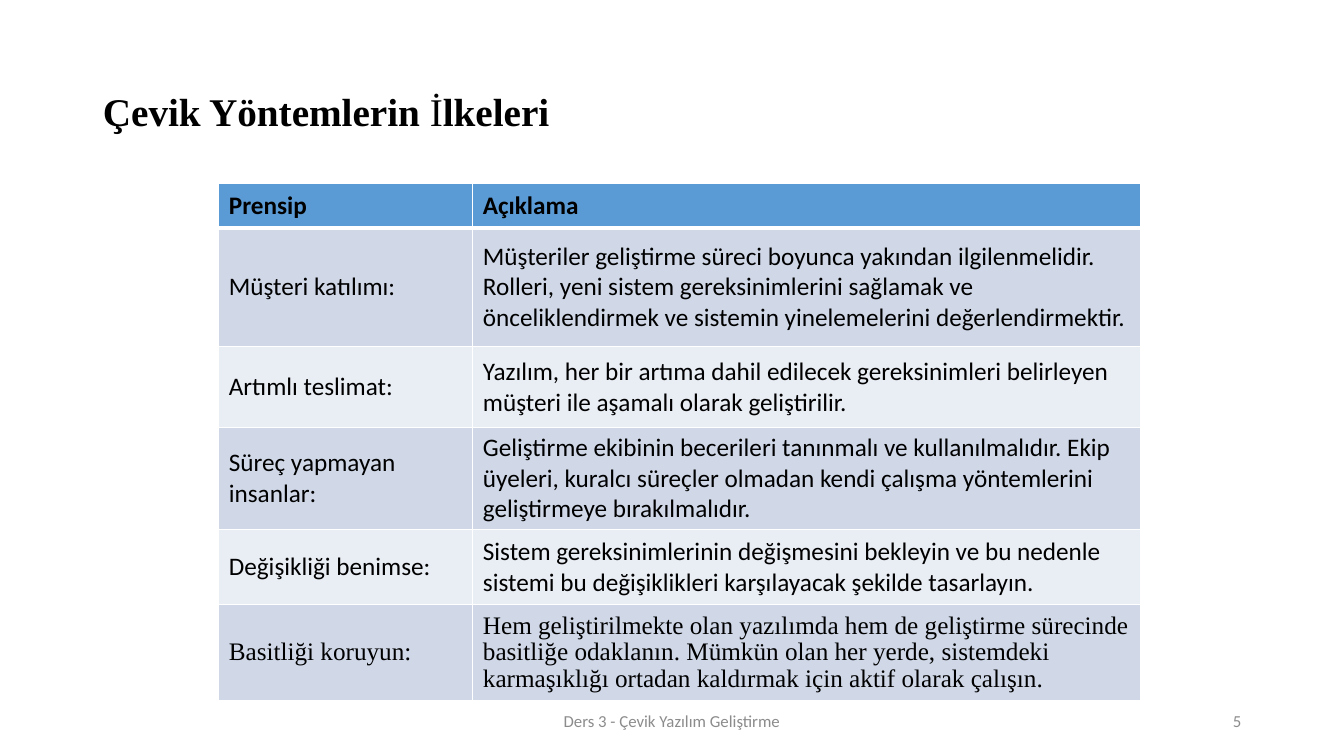
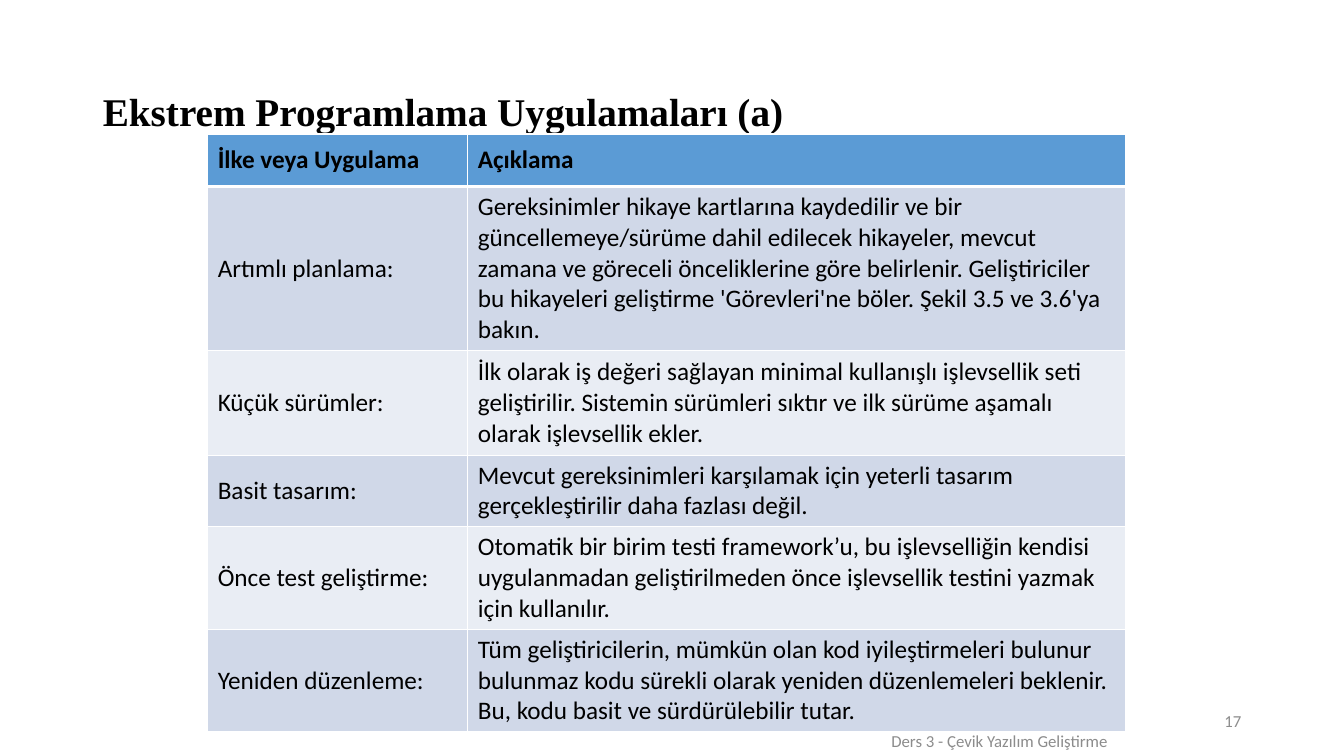
from lxml import etree
from pptx import Presentation
from pptx.dml.color import RGBColor
from pptx.enum.text import MSO_ANCHOR, PP_ALIGN
from pptx.oxml.ns import qn
from pptx.util import Inches, Pt

MIDDLE = MSO_ANCHOR.MIDDLE
LEFT, CENTER, RIGHT = PP_ALIGN.LEFT, PP_ALIGN.CENTER, PP_ALIGN.RIGHT
WIDTH, HEIGHT = 13.33, 7.5
MARGIN = 0.92
CONTENT = WIDTH - 2 * MARGIN
FOOTER_TOP, FOOTER_HEIGHT = HEIGHT - 0.55, 0.4
NUMBER_WIDTH = 3
BLACK, WHITE, GRAY = "000000", "FFFFFF", "8C8C8C"
HEADER_FILL = "5B9BD5"
BAND_FILLS = ["E9EDF4", "D0D8E8"]
SANS, SERIF = "Calibri", "Times New Roman"
FOOTER = "Ders 3 - Çevik Yazılım Geliştirme"

SLIDES = [
    {
        "title": ["Çevik Yöntemlerin ", "İ", "lkeleri"],
        "number": "5",
        "footer": (WIDTH / 2 - 2.25, FOOTER_TOP, 4.5),
        "corner": (2.17, 1.82),
        "columns": [2.52, 6.62],
        "heights": [0.44, 1.18, 0.8, 0.96, 0.74, 0.96],
        "serif_rows": [5],
        "rows": [
            ("Prensip", "Açıklama"),
            ("Müşteri katılımı:",
             "Müşteriler geliştirme süreci boyunca yakından ilgilenmelidir. Rolleri, yeni sistem "
             "gereksinimlerini sağlamak ve önceliklendirmek ve sistemin yinelemelerini "
             "değerlendirmektir."),
            ("Artımlı teslimat:",
             "Yazılım, her bir artıma dahil edilecek gereksinimleri belirleyen müşteri ile "
             "aşamalı olarak geliştirilir."),
            ("Süreç yapmayan insanlar:",
             "Geliştirme ekibinin becerileri tanınmalı ve kullanılmalıdır. Ekip üyeleri, kuralcı "
             "süreçler olmadan kendi çalışma yöntemlerini geliştirmeye bırakılmalıdır."),
            ("Değişikliği benimse:",
             "Sistem gereksinimlerinin değişmesini bekleyin ve bu nedenle sistemi bu "
             "değişiklikleri karşılayacak şekilde tasarlayın."),
            ("Basitliği koruyun:",
             "Hem geliştirilmekte olan yazılımda hem de geliştirme sürecinde basitliğe "
             "odaklanın. Mümkün olan her yerde, sistemdeki karmaşıklığı ortadan kaldırmak için "
             "aktif olarak çalışın."),
        ],
    },
    {
        "title": ["Ekstrem Programlama Uygulamaları (a)"],
        "number": "17",
        "footer": (8.33, FOOTER_TOP + 0.2, 3.17),
        "corner": (2.06, 1.33),
        "columns": [2.58, 6.52],
        "heights": [0.52, 1.28, 1.04, 0.57, 0.81, 0.81],
        "serif_rows": [],
        "rows": [
            ("İlke veya Uygulama", "Açıklama"),
            ("Artımlı planlama:",
             "Gereksinimler hikaye kartlarına kaydedilir ve bir güncellemeye/sürüme dahil "
             "edilecek hikayeler, mevcut zamana ve göreceli önceliklerine göre "
             "belirlenir. Geliştiriciler bu hikayeleri geliştirme 'Görevleri'ne "
             "böler. Şekil 3.5 ve 3.6'ya bakın."),
            ("Küçük sürümler:",
             "İlk olarak iş değeri sağlayan minimal kullanışlı işlevsellik seti "
             "geliştirilir. Sistemin sürümleri sıktır ve ilk sürüme aşamalı olarak "
             "işlevsellik ekler."),
            ("Basit tasarım:",
             "Mevcut gereksinimleri karşılamak için yeterli tasarım gerçekleştirilir daha "
             "fazlası değil."),
            ("Önce test geliştirme:",
             "Otomatik bir birim testi framework’u, bu işlevselliğin kendisi uygulanmadan "
             "geliştirilmeden önce işlevsellik testini yazmak için kullanılır."),
            ("Yeniden düzenleme:",
             "Tüm geliştiricilerin, mümkün olan kod iyileştirmeleri bulunur bulunmaz kodu "
             "sürekli olarak yeniden düzenlemeleri beklenir. Bu, kodu basit ve "
             "sürdürülebilir tutar."),
        ],
    },
]


def style(font, name, size, color, bold=False):
    font.name, font.size, font.bold = name, Pt(size), bold
    font.color.rgb = RGBColor.from_string(color)


def add_border(cell, side, points):
    line = etree.SubElement(cell._tc.get_or_add_tcPr(), qn("a:" + side), w=str(Pt(points)))
    fill = etree.SubElement(line, qn("a:solidFill"))
    etree.SubElement(fill, qn("a:srgbClr"), val=WHITE)


deck = Presentation()
deck.slide_width, deck.slide_height = Inches(WIDTH), Inches(HEIGHT)
title_only = deck.slide_layouts[5]

for content in SLIDES:
    page = deck.slides.add_slide(title_only)

    title = page.shapes.title
    title.left, title.top = Inches(MARGIN), Inches(0.4)
    title.width, title.height = Inches(CONTENT), Inches(1.45)
    title.text_frame.vertical_anchor = MIDDLE
    para = title.text_frame.paragraphs[0]
    para.alignment, para.line_spacing = LEFT, 0.9
    for index, text in enumerate(content["title"]):
        span = para.add_run()
        span.text = text
        style(span.font, SERIF, 28, BLACK, bold=index != 1)

    rows, columns, heights = content["rows"], content["columns"], content["heights"]
    left, top = content["corner"]
    table = page.shapes.add_table(
        len(rows), len(columns), Inches(left), Inches(top),
        Inches(sum(columns)), Inches(sum(heights))).table
    for column, width in zip(table.columns, columns):
        column.width = Inches(width)
    for row, height in zip(table.rows, heights):
        row.height = Inches(height)
    for r, texts in enumerate(rows):
        serif = r in content["serif_rows"]
        for c, text in enumerate(texts):
            cell = table.cell(r, c)
            cell.text_frame.text = text
            cell.vertical_anchor = MIDDLE
            for side in ("lnL", "lnR", "lnT", "lnB"):
                thick = (r, side) in [(0, "lnB"), (1, "lnT")]
                add_border(cell, side, 3 if thick else 1)
            cell.fill.solid()
            cell.fill.fore_color.rgb = RGBColor.from_string(
                BAND_FILLS[r % 2] if r else HEADER_FILL)
            para = cell.text_frame.paragraphs[0]
            if serif:
                para.line_spacing = 0.95
            style(para.runs[0].font, SERIF if serif else SANS, 18, BLACK, bold=r == 0)

    number_place = (WIDTH - MARGIN - NUMBER_WIDTH, FOOTER_TOP, NUMBER_WIDTH)
    for text, (left, top, width), alignment in [
        (content["number"], number_place, RIGHT),
        (FOOTER, content["footer"], CENTER),
    ]:
        box = page.shapes.add_textbox(
            Inches(left), Inches(top), Inches(width), Inches(FOOTER_HEIGHT))
        box.text_frame.word_wrap = True
        box.text_frame.vertical_anchor = MIDDLE
        box.text_frame.text = text
        para = box.text_frame.paragraphs[0]
        para.alignment = alignment
        style(para.runs[0].font, SANS, 12, GRAY)

deck.save("out.pptx")
